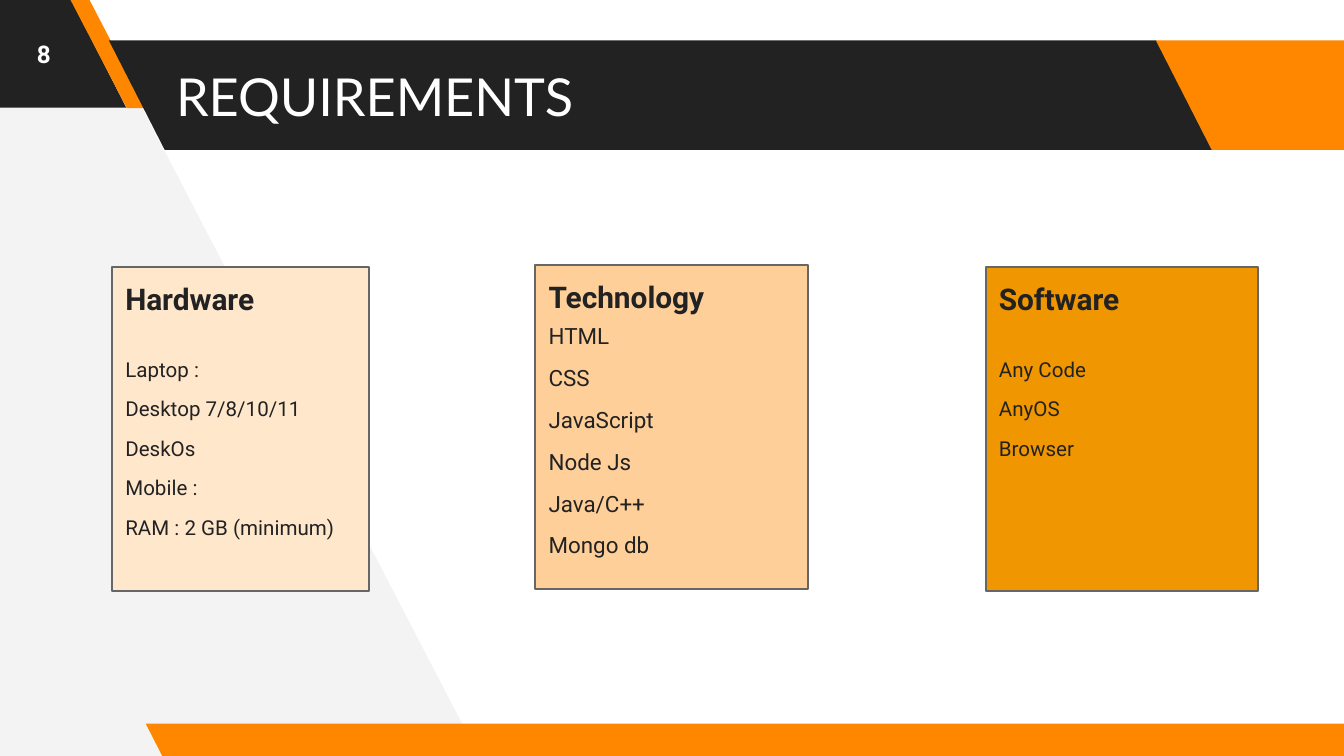
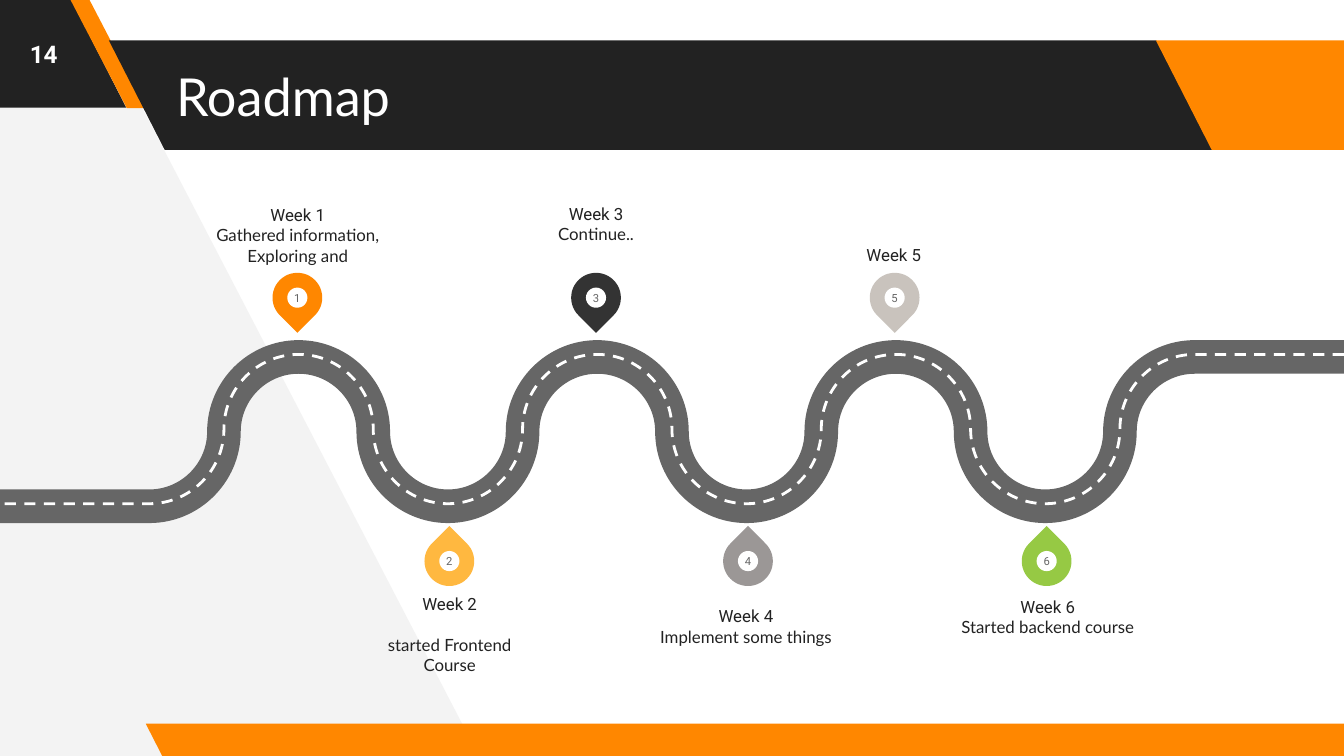
from collections import namedtuple

import lxml.etree
import pptx
import pptx.dml.color
import pptx.enum.dml
import pptx.enum.shapes
import pptx.enum.text
import pptx.oxml.ns
import pptx.util

# Lengths are cells of a square grid, 100 columns wide and 56.25 rows high.
CELL = 91440
COLS, ROWS = 100, 56.25
INSET = 1

DARK, ORANGE, PALE = "222222", "FF8700", "F3F3F3"
WHITE, GREY = "FFFFFF", "666666"
HEAD, BODY = "Lato", "Roboto"

KIND = pptx.enum.shapes.MSO_SHAPE
ALIGN = pptx.enum.text.PP_ALIGN
ANCHOR = pptx.enum.text.MSO_ANCHOR
Box = namedtuple("Box", "x y w h")

PAGE = Box(0, 0, COLS, ROWS)
TITLE = Box(12.1, 3, 73.5, 8.2)
NUMBER = Box(0, 0, 6.5, 8)
WEDGE = [(35.6, 56.2), (6.2, -0.4), (-0.6, -0.4), (-0.2, 56.6)]
BANDS = [
    (Box(-9.9, -0.2, 19.3, 8.2), DARK, 0.51),
    (Box(5.2, -0.1, 5.65, 8.15), ORANGE, 0.75),
    (Box(8.1, 3, 82.1, 8.15), DARK, 0.51),
    (Box(86, 3, 19.2, 8.15), ORANGE, 0.51),
    (Box(10.85, 53.85, 91.5, 2.5), ORANGE, 0.51),
]

CARDS = [
    (Box(8.34, 19.88, 19.1, 24.1), "FFE7CC", "Hardware", 11, 21.5,
     ["Laptop :", "Desktop 7/8/10/11", "DeskOs", "Mobile :",
      "RAM : 2 GB (minimum)"]),
    (Box(39.84, 19.7, 20.3, 24.1), "FFCF99", "Technology", 12, 4.5,
     ["HTML", "CSS", "JavaScript", "Node Js", "Java/C++", "Mongo db"]),
    (Box(73.34, 19.88, 20.3, 24.1), "EF9600", "Software", 11, 21.5,
     ["Any Code", "AnyOS", "Browser"]),
]

# Pin colour, label box, space at its foot, points under the week, lines
WEEKS = [
    (ORANGE, Box(15.1, 12, 14.1, 10.8), 3.05, 0,
     ["Gathered information, Exploring and"]),
    ("FFB840", Box(26.4, 44.2, 14.1, 7.5), 0, 10.8,
     ["started Frontend", "Course"]),
    ("333333", Box(37.3, 11.8, 14.1, 9.4), 3.05, 0, ["Continue.."]),
    ("9B9796", Box(46.6, 45.1, 17.8, 9.2), 0, 0, ["Implement some things"]),
    ("C9C3BD", Box(58.6, 11.2, 15.8, 8.5), 0, 0, []),
    ("96C944", Box(70, 44.4, 15.9, 9.2), 0, 0, ["Started backend course"]),
]
BEND = COLS / 9
PIN, DOT = 3.7, 1.5
CURVE = 0.55


def cells(n):
    return round(n * CELL)


def color(text):
    return pptx.dml.color.RGBColor.from_string(text)


def place(box):
    return [cells(n) for n in box]


def paint(shape, fill=None, line=None, width=1):
    shape.shadow.inherit = False
    if fill:
        shape.fill.solid()
        shape.fill.fore_color.rgb = color(fill)
    else:
        shape.fill.background()
    if line:
        shape.line.color.rgb = color(line)
        shape.line.width = pptx.util.Pt(width)
    else:
        shape.line.fill.background()
    return shape


def form(host, kind, box, **look):
    return paint(host.shapes.add_shape(kind, *place(box)), **look)


def trace(host, points, close=False, **look):
    """Draw an outline through points given in cells."""
    spots = [(cells(x), cells(y)) for x, y in points]
    pen = host.shapes.build_freeform(*spots[0], scale=1.0)
    pen.add_line_segments(spots[1:], close=close)
    return paint(pen.convert_to_shape(), **look)


def bend(shape):
    """Turn each slanting line into a quarter arc, flat and steep by turns."""
    name = pptx.oxml.ns.qn
    flat = True
    last = None
    for node in shape.element.iter(name("a:moveTo"), name("a:lnTo")):
        end = [int(node[0].get(key)) for key in "xy"]
        if last and last[1] != end[1]:
            dx, dy = [CURVE * (b - a) for a, b in zip(last, end)]
            if flat:
                pulls = (last[0] + dx, last[1]), (end[0], end[1] - dy)
            else:
                pulls = (last[0], last[1] + dy), (end[0] - dx, end[1])
            for i, (x, y) in enumerate(pulls):
                pull = lxml.etree.SubElement(node, name("a:pt"))
                pull.set("x", str(round(x)))
                pull.set("y", str(round(y)))
                node.insert(i, pull)
            node.tag = name("a:cubicBezTo")
            flat = not flat
        last = end


def setup(shape, anchor=ANCHOR.TOP, inset=INSET):
    frame = shape.text_frame
    frame.word_wrap = True
    frame.auto_size = pptx.enum.text.MSO_AUTO_SIZE.NONE
    frame.vertical_anchor = anchor
    for side in ("left", "right", "top", "bottom"):
        setattr(frame, f"margin_{side}", cells(inset))
    return frame


def write(frame, text, size=9, font=BODY, ink=DARK, bold=False,
          align=ALIGN.LEFT, before=0, after=0):
    """Add one paragraph, filling the first one while it is empty."""
    para = frame.paragraphs[-1]
    if para.runs:
        para = frame.add_paragraph()
    para.alignment = align
    para.space_before = pptx.util.Pt(before)
    para.space_after = pptx.util.Pt(after)
    run = para.add_run()
    run.text = text
    run.font.size = pptx.util.Pt(size)
    run.font.name = font
    run.font.bold = bold
    run.font.color.rgb = color(ink)


def dress(slide):
    """Draw the wedge and bands, then move them to the slide's layout."""
    group = slide.shapes.add_group_shape()
    trace(group, WEDGE, close=True, fill=PALE)
    for box, fill, slant in BANDS:
        band = form(group, KIND.PARALLELOGRAM, box, fill=fill)
        band.adjustments[0] = slant
        band.element.spPr.xfrm.set("flipH", "1")
    marks = group.element.iter(pptx.oxml.ns.qn("p:cNvPr"))
    for number, mark in enumerate(marks, 20):
        mark.set("id", str(number))
    slide.slide_layout.shapes.element.insert(2, group.element)


def start(deck, title, number):
    slide = deck.slides.add_slide(deck.slide_layouts[5])
    head = slide.shapes.title
    head.left, head.top, head.width, head.height = place(TITLE)
    write(setup(head, ANCHOR.MIDDLE), title, size=28, font=HEAD, ink=WHITE)

    label = slide.shapes.add_textbox(*place(NUMBER))
    write(setup(label, ANCHOR.MIDDLE), number, size=13, ink=WHITE, bold=True,
          align=ALIGN.CENTER)
    return slide


def card(slide, box, fill, head, size, gap, items):
    frame = setup(form(slide, KIND.RECTANGLE, box, fill=fill, line=GREY))
    write(frame, head, size=16, bold=True)
    for i, item in enumerate(items):
        write(frame, item, size=size, before=4 if i else gap, after=4)


def wave(box, mid):
    """Ends of the road's quarter arcs, from the right edge to the left."""
    rad = BEND / 2
    levels = [mid - rad, mid, mid + rad, mid]
    points = [(box.x + box.w, mid - rad)]
    for i in range(15):
        points.append((box.x + rad * (16 - i), levels[i % 4]))
    return points + [(box.x, mid + rad)]


def road(slide, box):
    base = trace(slide, wave(box, box.y + 32.12), line=GREY, width=18)
    dashes = trace(slide, wave(box, box.y + 31.93), line=WHITE, width=1.5)
    dashes.line.dash_style = pptx.enum.dml.MSO_LINE.DASH
    bend(base)
    bend(dashes)


def pin(slide, box, fill, number, above):
    group = slide.shapes.add_group_shape()
    drop = form(group, KIND.TEAR, box, fill=fill)
    drop.rotation = 135 if above else 315
    edge = (box.w - DOT) / 2
    dot = form(group, KIND.OVAL, Box(box.x + edge, box.y + edge, DOT, DOT),
               fill=WHITE)
    write(setup(dot, ANCHOR.MIDDLE, 0), str(number), size=6, ink=GREY,
          align=ALIGN.CENTER)


def week(slide, number, fill, box, foot, gap, lines):
    above = number % 2 == 1
    mid = BEND * (number + 1) + (-0.1 if above else 0.1)
    pin(slide, Box(mid - PIN / 2, 20.3 if above else 39.9, PIN, PIN),
        fill, number, above)
    label = slide.shapes.add_textbox(*place(box))
    frame = setup(label, ANCHOR.BOTTOM if above else ANCHOR.TOP, 0)
    frame.margin_bottom = cells(foot)
    write(frame, f"Week {number}", align=ALIGN.CENTER)
    for i, line in enumerate(lines):
        write(frame, line, font=HEAD, align=ALIGN.CENTER,
              before=0 if i else gap)


def needs(deck):
    slide = start(deck, "REQUIREMENTS", "8")
    for item in CARDS:
        card(slide, *item)


def roadmap(deck):
    slide = start(deck, "Roadmap", "14")
    road(slide, PAGE)
    for number, item in enumerate(WEEKS, 1):
        week(slide, number, *item)


def main():
    deck = pptx.Presentation()
    deck.slide_width, deck.slide_height = cells(COLS), cells(ROWS)
    needs(deck)
    roadmap(deck)
    dress(deck.slides[0])
    deck.save("out.pptx")


if __name__ == "__main__":
    main()
